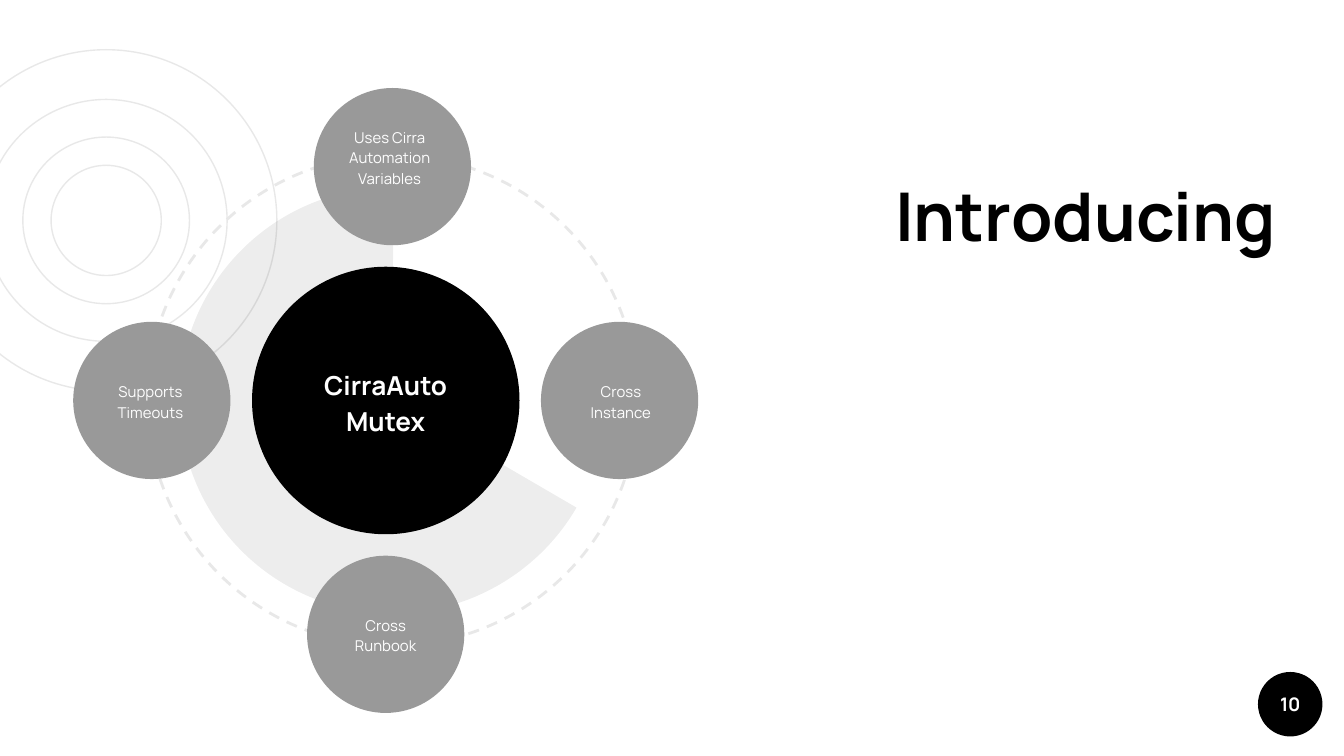
from lxml import etree
from pptx import Presentation
from pptx.dml.color import RGBColor
from pptx.enum import dml, shapes, text
from pptx.oxml import ns
from pptx.util import Inches, Pt

BLACK = RGBColor(0x00, 0x00, 0x00)
WHITE = RGBColor(0xFF, 0xFF, 0xFF)
GRAY = RGBColor(0x99, 0x99, 0x99)
PALE = RGBColor(0xE8, 0xE8, 0xE8)
FONT = "Manrope"
FEATURE_SIZE = 1.17


def box(center_x, center_y, width, height):
    return [Inches(v) for v in
            (center_x - width / 2, center_y - height / 2, width, height)]


def write(frame, words, size, color=WHITE, bold=False,
          align=text.PP_ALIGN.CENTER, anchor=text.MSO_ANCHOR.MIDDLE,
          spacing=1.0, bottom=0.1):
    frame.word_wrap = True
    frame.auto_size = text.MSO_AUTO_SIZE.NONE
    frame.vertical_anchor = anchor
    frame.margin_left = frame.margin_right = frame.margin_top = Inches(0.1)
    frame.margin_bottom = Inches(bottom)
    paragraph = frame.paragraphs[0]
    paragraph.alignment = align
    paragraph.line_spacing = spacing
    run = paragraph.add_run()
    run.text = words
    run.font.name = FONT
    run.font.size = Pt(size)
    run.font.bold = bold
    run.font.color.rgb = color


def add_label(slide, area, words, size, **style):
    label = slide.shapes.add_textbox(*area)
    write(label.text_frame, words, size, **style)


def add_disc(slide, x, y, size, color, kind=shapes.MSO_SHAPE.OVAL):
    disc = slide.shapes.add_shape(kind, *box(x, y, size, size))
    disc.shadow.inherit = False
    disc.fill.solid()
    disc.fill.fore_color.rgb = color
    disc.line.fill.background()
    return disc


def add_ring(slide, x, y, size, weight=0.75):
    ring = slide.shapes.add_shape(shapes.MSO_SHAPE.OVAL, *box(x, y, size, size))
    ring.shadow.inherit = False
    ring.fill.background()
    ring.line.color.rgb = PALE
    ring.line.width = Pt(weight)
    return ring


def add_orbit(slide, x, y):
    orbit = add_ring(slide, x, y, 3.65, weight=1.5)
    orbit.line.dash_style = dml.MSO_LINE.DASH
    orbit.rotation = 270
    sector = add_disc(slide, x, y, 3.17, BLACK, shapes.MSO_SHAPE.PIE)
    sector.adjustments[0] = 18.12
    sector.adjustments[1] = 162.15
    tint = sector.fill._xPr.find(".//" + ns.qn("a:srgbClr"))
    etree.SubElement(tint, ns.qn("a:alpha"), val="7000")


def add_feature(slide, x, y, words, label_x, label_width, bottom=0.1):
    add_disc(slide, x, y, FEATURE_SIZE, GRAY)
    add_label(slide, box(label_x, y, label_width, 0.8), words, 8,
              spacing=1.15, bottom=bottom)


def add_title(slide, words):
    title = slide.shapes.title
    title.left, title.top = Inches(6.56), Inches(1.2)
    title.width, title.height = Inches(3.28), Inches(3.22)
    write(title.text_frame, words, 36, color=BLACK, bold=True,
          align=text.PP_ALIGN.LEFT, anchor=text.MSO_ANCHOR.TOP)


def main():
    deck = Presentation()
    deck.slide_width = Inches(10)
    deck.slide_height = Inches(10) * 9 // 16
    slide = deck.slides.add_slide(deck.slide_layouts[5])

    for size in (2.54, 1.24, 1.8, 0.82):
        add_ring(slide, 0.79, 1.64, size)

    page_x, page_y, page_size = 9.6, 5.24, 0.48
    add_disc(slide, page_x, page_y, page_size, BLACK)
    add_label(slide, box(page_x, page_y, page_size, page_size), "10", 10, bold=True)

    hub_x, hub_y, reach = 2.87, 2.98, 1.74
    add_orbit(slide, 2.92, hub_y)
    add_disc(slide, hub_x, hub_y, 1.99, BLACK)
    add_label(slide, box(hub_x, hub_y, 1.47, 0.9), "CirraAuto Mutex", 14,
              bold=True, spacing=1.15)

    add_feature(slide, 2.92, hub_y - reach, "Uses Cirra Automation Variables",
                2.9, 0.88, bottom=0.25)
    add_feature(slide, hub_x, hub_y + reach, "Cross Runbook", hub_x, 0.83)
    add_feature(slide, hub_x + reach, hub_y, "Cross Instance", 4.62, 0.91)
    add_feature(slide, hub_x - reach, hub_y, "Supports Timeouts", 1.12, 0.83)

    add_title(slide, "Introducing")
    deck.save("out.pptx")


if __name__ == "__main__":
    main()
